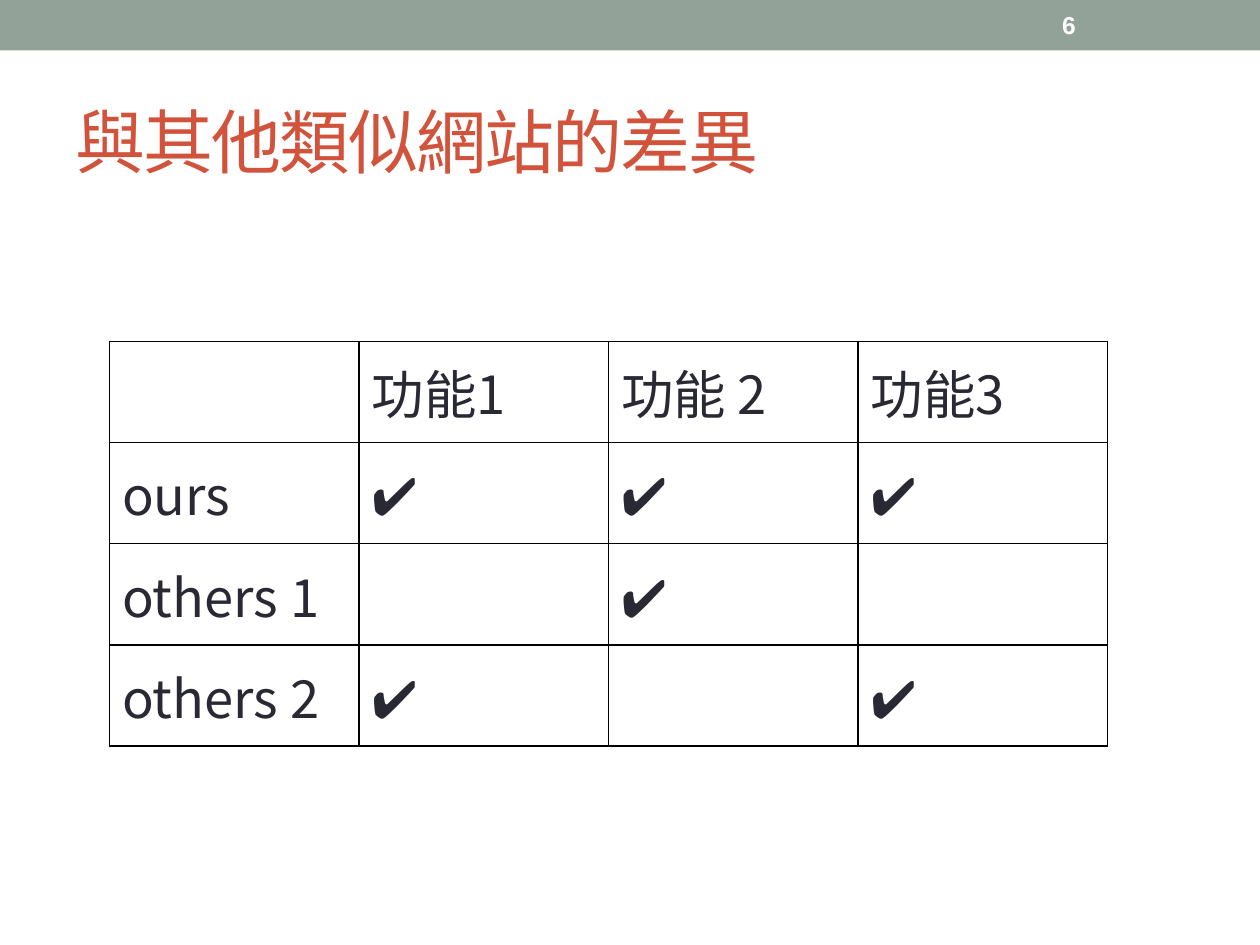
"""Build the slide that compares our site's features with similar sites."""
from dataclasses import dataclass

import lxml.etree
import pptx
import pptx.dml.color
import pptx.enum.shapes
import pptx.enum.text
import pptx.oxml.ns
import pptx.util

Cm = pptx.util.Cm
Pt = pptx.util.Pt
qn = pptx.oxml.ns.qn

CJK_FONT = "Noto Sans CJK TC"
CHECK = "✔"
FEATURES = ["功能1", "功能 2", "功能3"]
SITES = {
    "ours": (True, True, True),
    "others 1": (False, True, False),
    "others 2": (True, False, True),
}
TITLE_FORMAT = {"name": "Arial", "size": Pt(40), "bold": False}
NUMBER_FORMAT = {"name": "Arial", "size": Pt(14), "bold": True}
CELL_FORMAT = {"name": CJK_FONT, "size": Pt(30), "bold": False}
CELL_MARGINS = {
    f"margin_{side}": Cm(0.25) for side in ("left", "right", "top", "bottom")
}
COLUMN_WIDTH = Cm(5.03)
ROW_HEIGHT = Cm(2.04)


@dataclass
class Label:
    text: str
    left: float
    top: float
    width: float
    height: float
    format: dict
    color: str
    spacing: int = 0


LABELS = [
    Label("與其他類似網站的差異", 1.27, 1.47, 22.86, 2.74, TITLE_FORMAT, "D2533C", -100),
    Label("6", 21.16, 0.05, 2.97, 0.91, NUMBER_FORMAT, "FFFFFF"),
]


def rgb(value: str) -> pptx.dml.color.RGBColor:
    return pptx.dml.color.RGBColor.from_string(value)


def apply(target, values: dict) -> None:
    for name, value in values.items():
        setattr(target, name, value)


def write(frame, text: str, values: dict, color: str, spacing: int = 0) -> None:
    paragraph = frame.paragraphs[0]
    paragraph.alignment = pptx.enum.text.PP_ALIGN.LEFT
    run = paragraph.add_run()
    run.text = text
    apply(run.font, values)
    run.font.color.rgb = rgb(color)
    properties = run.font._element
    lxml.etree.SubElement(properties, qn("a:ea"), typeface=CJK_FONT)
    if spacing:
        properties.set("spc", str(spacing))


def draw_band(slide) -> None:
    band = slide.shapes.add_shape(
        pptx.enum.shapes.MSO_SHAPE.RECTANGLE, 0, 0, Cm(25.4), Cm(1.02)
    )
    band.shadow.inherit = False
    band.fill.solid()
    band.fill.fore_color.rgb = rgb("93A299")
    band.line.fill.background()


def draw_label(slide, label: Label) -> None:
    place = (label.left, label.top, label.width, label.height)
    frame = slide.shapes.add_textbox(*map(Cm, place)).text_frame
    frame.word_wrap = True
    frame.vertical_anchor = pptx.enum.text.MSO_ANCHOR.MIDDLE
    write(frame, label.text, label.format, label.color, label.spacing)


def outline(cell, color: str) -> None:
    properties = cell._tc.get_or_add_tcPr()
    for index, side in enumerate(("lnL", "lnR", "lnT", "lnB")):
        border = lxml.etree.Element(qn(f"a:{side}"), w=str(Pt(1)))
        fill = lxml.etree.SubElement(border, qn("a:solidFill"))
        lxml.etree.SubElement(fill, qn("a:srgbClr"), val=color)
        properties.insert(index, border)


def draw_comparison(slide) -> None:
    rows = [["", *FEATURES]]
    for site, support in SITES.items():
        rows.append([site, *(CHECK if has else "" for has in support)])
    columns = len(rows[0])
    comparison = slide.shapes.add_table(
        len(rows), columns, Cm(2.21), Cm(6.88),
        COLUMN_WIDTH * columns, ROW_HEIGHT * len(rows),
    ).table
    apply(comparison, {"first_row": False, "horz_banding": False})
    for column in comparison.columns:
        column.width = COLUMN_WIDTH
    for row, texts in zip(comparison.rows, rows):
        row.height = ROW_HEIGHT
        for cell, text in zip(row.cells, texts):
            apply(cell, CELL_MARGINS)
            cell.fill.background()
            outline(cell, "000000")
            if text:
                write(cell.text_frame, text, CELL_FORMAT, "292934")


def main() -> None:
    deck = pptx.Presentation()
    apply(deck, {"slide_width": Cm(25.4), "slide_height": Cm(19.05)})
    slide = deck.slides.add_slide(deck.slide_layouts[6])
    draw_band(slide)
    for label in LABELS:
        draw_label(slide, label)
    draw_comparison(slide)
    deck.save("out.pptx")


if __name__ == "__main__":
    main()
